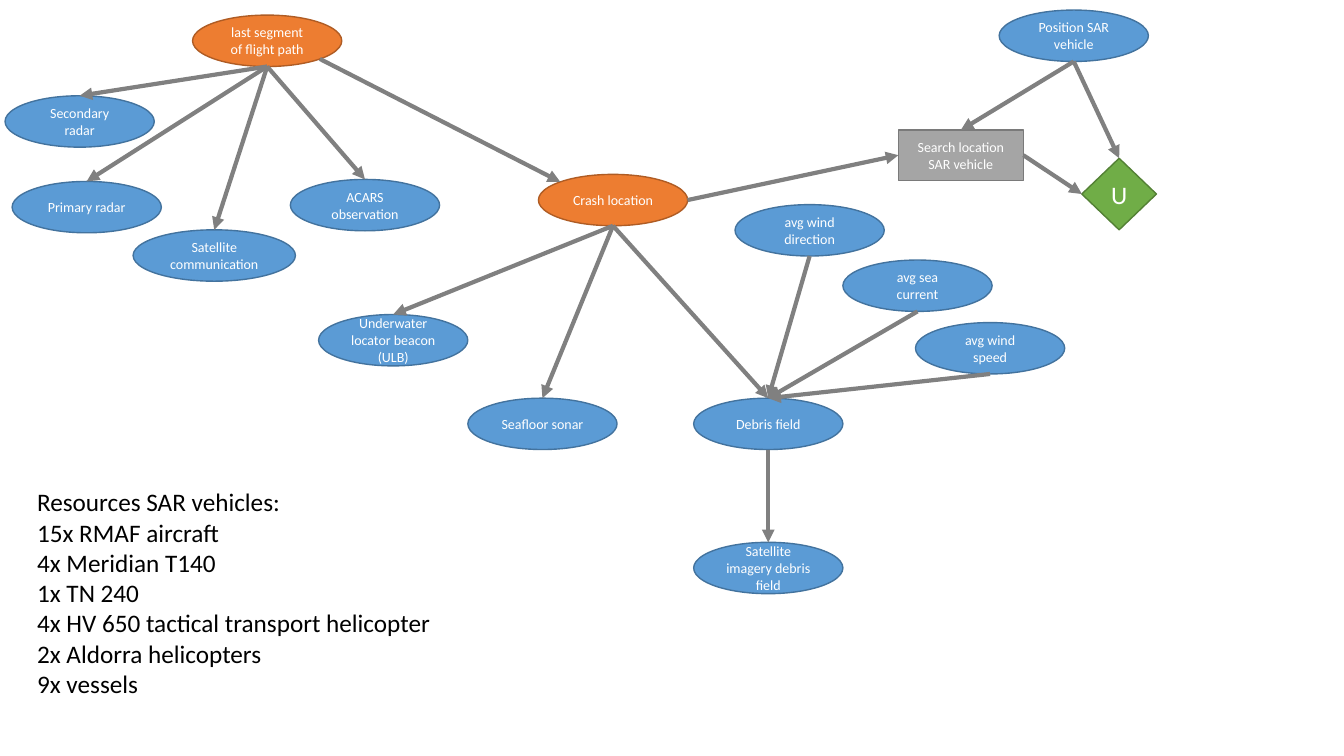
from dataclasses import dataclass
from math import cos, radians, sin

from lxml.etree import SubElement
from pptx import Presentation
from pptx.dml.color import RGBColor
from pptx.enum.shapes import MSO_CONNECTOR, MSO_SHAPE
from pptx.enum.text import MSO_ANCHOR, MSO_AUTO_SIZE, PP_ALIGN
from pptx.oxml.ns import qn
from pptx.util import Inches, Pt


@dataclass(frozen=True)
class Theme:
    font: str = "Calibri"
    node_size: int = 10
    text_size: int = 18
    light: str = "FFFFFF"
    dark: str = "000000"
    arrow: str = "808080"
    # Fill and outline of each kind of node
    evidence: tuple = ("5B9BD5", "43739E")
    location: tuple = ("ED7D31", "AF5C24")
    decision: tuple = ("A5A5A5", "7A7A7A")
    utility: tuple = ("70AD47", "538035")


THEME = Theme()
OVAL_W, OVAL_H = 1.48, 0.51

# Connection sites, counted counterclockwise from the top
TOP = 0
OVAL_TOP_LEFT, OVAL_BOTTOM, OVAL_BOTTOM_RIGHT, OVAL_RIGHT = 1, 4, 5, 6
LEFT, RIGHT = 1, 3


def rgb(value):
    return RGBColor.from_string(value)


def add_run(p, text, size, color):
    r = p.add_run()
    r.text = text
    r.font.name = THEME.font
    r.font.size = Pt(size)
    r.font.color.rgb = rgb(color)


def add_node(s, box, x, y, text, colors=THEME.evidence, kind=MSO_SHAPE.OVAL,
             w=OVAL_W, h=OVAL_H, size=THEME.node_size):
    """Place a node at x, y from the corner of its region's box."""
    left, top = box
    sp = s.shapes.add_shape(kind, Inches(left + x), Inches(top + y), Inches(w), Inches(h))
    sp.shadow.inherit = False
    fill, line = colors
    sp.fill.solid()
    sp.fill.fore_color.rgb = rgb(fill)
    sp.line.color.rgb = rgb(line)
    sp.line.width = Pt(1)
    tf = sp.text_frame
    tf.word_wrap = True
    tf.vertical_anchor = MSO_ANCHOR.MIDDLE
    p = tf.paragraphs[0]
    p.alignment = PP_ALIGN.CENTER
    add_run(p, text, size, THEME.light)
    return sp


def is_oval(sp):
    return sp.auto_shape_type == MSO_SHAPE.OVAL


def site_point(sp, site):
    angle = radians(90 + site * (45 if is_oval(sp) else 90))
    x = sp.left + sp.width / 2 * (1 + cos(angle))
    y = sp.top + sp.height / 2 * (1 - sin(angle))
    return round(x), round(y)


def add_arrow(s, source, target, start=OVAL_BOTTOM, end=TOP):
    line = s.shapes.add_connector(MSO_CONNECTOR.STRAIGHT,
                                  *site_point(source, start), *site_point(target, end))
    # Ovals have eight sites, so only their top one matches a rectangle's
    if start == TOP or not is_oval(source):
        line.begin_connect(source, start)
    if end == TOP or not is_oval(target):
        line.end_connect(target, end)
    line.line.color.rgb = rgb(THEME.arrow)
    line.line.width = Pt(3)
    SubElement(line.line._get_or_add_ln(), qn("a:tailEnd"), type="triangle")
    SubElement(line._element.spPr, qn("a:effectLst"))


def add_flight_path(s, box):
    """Last flight segment and the observations that follow from it."""
    segment = add_node(s, box, 1.86, 0, "last segment of flight path", THEME.location)
    observations = [
        add_node(s, box, 0, 0.8, "Secondary radar"),
        add_node(s, box, 0.07, 1.65, "Primary radar"),
        add_node(s, box, 1.27, 2.13, "Satellite communication", w=1.61),
        add_node(s, box, 2.83, 1.63, "ACARS observation"),
    ]
    for observation in observations:
        add_arrow(s, segment, observation)
    return segment


def add_crash_evidence(s, box):
    """Crash location, its evidence, and what moves the debris."""
    crash = add_node(s, box, 2.18, 0, "Crash location", THEME.location)
    beacon = add_node(s, box, 0, 1.39, "Underwater locator beacon (ULB)")
    sonar = add_node(s, box, 1.48, 2.22, "Seafloor sonar")
    debris = add_node(s, box, 3.72, 2.22, "Debris field")
    imagery = add_node(s, box, 3.72, 3.65, "Satellite imagery debris field")
    drift = [
        add_node(s, box, 4.13, 0.3, "avg wind direction"),
        add_node(s, box, 5.2, 0.85, "avg sea current"),
        add_node(s, box, 5.92, 1.47, "avg wind speed"),
    ]
    for found in (beacon, sonar, debris):
        add_arrow(s, crash, found)
    for cause in drift:
        add_arrow(s, cause, debris)
    add_arrow(s, debris, imagery)
    return crash


def add_search_decision(s, box):
    """Vehicle position, search decision and utility."""
    position = add_node(s, box, 1, 0, "Position SAR vehicle")
    search = add_node(s, box, 0, 1.19, "Search location SAR vehicle", THEME.decision,
                      MSO_SHAPE.RECTANGLE, 1.24, 0.5)
    utility = add_node(s, box, 1.82, 1.47, "U", THEME.utility,
                       MSO_SHAPE.DIAMOND, 0.74, 0.71, THEME.text_size)
    add_arrow(s, position, search)
    add_arrow(s, position, utility)
    add_arrow(s, search, utility, RIGHT, LEFT)
    return search


def add_resources(s, box):
    """List of available search vehicles."""
    tf = s.shapes.add_textbox(*map(Inches, box)).text_frame
    tf.word_wrap = False
    tf.auto_size = MSO_AUTO_SIZE.SHAPE_TO_FIT_TEXT
    lines = [
        "Resources SAR vehicles:",
        "15x RMAF aircraft",
        "4x Meridian T140",
        "1x TN 240",
        "4x HV 650 tactical transport helicopter",
        "2x Aldorra helicopters",
        "9x vessels",
    ]
    for i, text in enumerate(lines):
        p = tf.add_paragraph() if i else tf.paragraphs[0]
        add_run(p, text, THEME.text_size, THEME.dark)


def main():
    prs = Presentation()
    prs.slide_width, prs.slide_height = Inches(13.33), Inches(7.5)
    s = prs.slides.add_slide(prs.slide_layouts[6])

    # Regions
    segment = add_flight_path(s, (0.05, 0.15))
    crash = add_crash_evidence(s, (3.16, 1.73))
    search = add_search_decision(s, (8.91, 0.1))
    add_resources(s, (0.27, 4.78, 4.1, 2.22))

    # Links between regions
    add_arrow(s, segment, crash, OVAL_BOTTOM_RIGHT, OVAL_TOP_LEFT)
    add_arrow(s, crash, search, OVAL_RIGHT, LEFT)

    prs.save("out.pptx")


if __name__ == "__main__":
    main()
